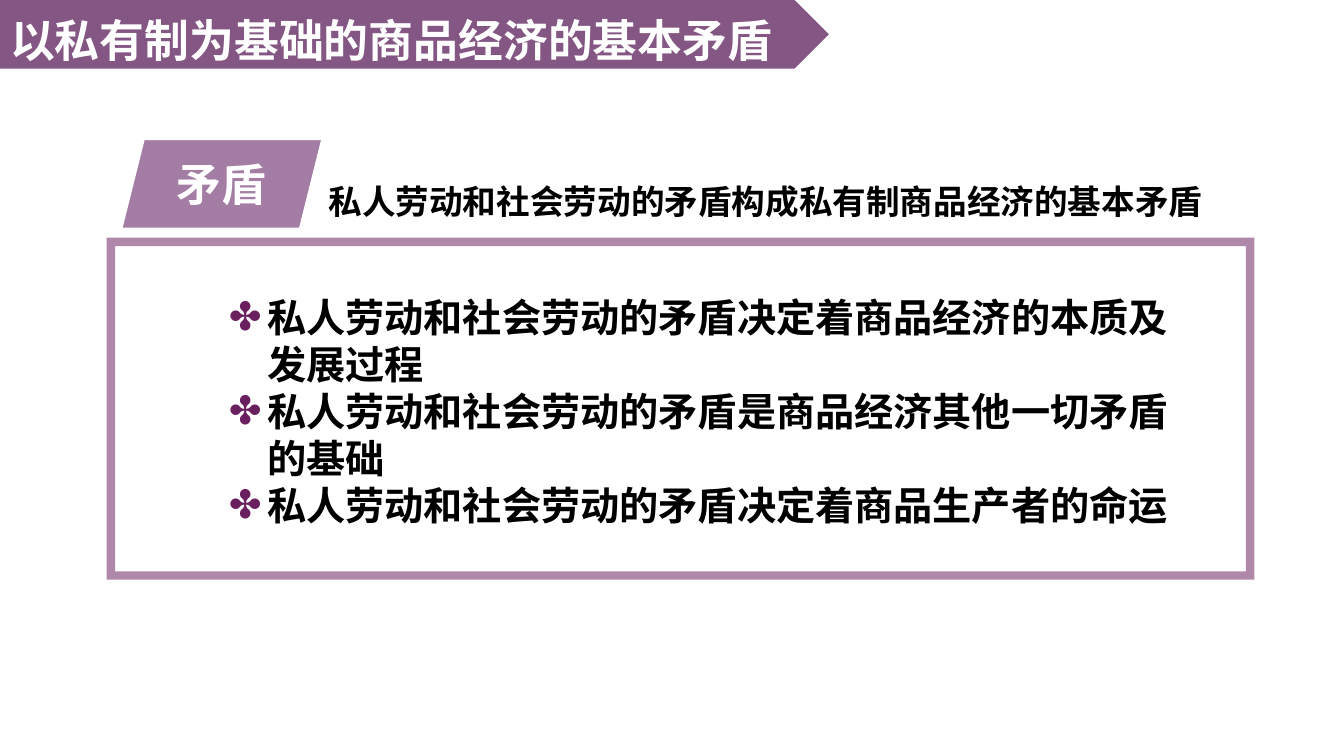
from pptx import Presentation
from pptx.dml.color import RGBColor
from pptx.enum.shapes import MSO_SHAPE
from pptx.enum.text import MSO_ANCHOR, MSO_AUTO_SIZE, PP_ALIGN
from pptx.oxml.ns import qn
from pptx.util import Inches, Pt
from lxml.etree import SubElement

COLORS = {"banner": "5A1B58", "tag": "7E487F", "accent": "6A1F5F",
          "white": "FFFFFF", "black": "000000"}
FONT = "Noto Sans CJK SC"
LINE_HEIGHT = 1.2  # line pitch as a share of the text size


def paint(fill, color, opacity=100):
    fill.solid()
    fill.fore_color.rgb = RGBColor.from_string(COLORS[color])
    if opacity < 100:
        solid = fill._xPr.find(qn("a:solidFill"))
        SubElement(solid[0], qn("a:alpha"), val=str(opacity * 1000))


def write(para, text, size, color, align=PP_ALIGN.LEFT, exact=True):
    para.alignment = align
    para.space_before = Pt(0)
    if exact:
        para.line_spacing = Pt(size * LINE_HEIGHT)
    span = para.add_run()
    span.text = text
    span.font.size = Pt(size)
    span.font.bold = True
    span.font.color.rgb = RGBColor.from_string(COLORS[color])
    span.font.name = FONT
    SubElement(span._r.get_or_add_rPr(), qn("a:ea"), typeface=FONT)


deck = Presentation()
deck.slide_width, deck.slide_height = Inches(13.33), Inches(7.5)
page = deck.slides.add_slide(deck.slide_layouts[1])
title, body = page.placeholders

# Banner, tag and frame
shapes = {}
for name, kind, area in [
    ("banner", MSO_SHAPE.PENTAGON, (0, 0, 8.22, 0.68)),
    ("tag", MSO_SHAPE.PARALLELOGRAM, (1.19, 1.37, 2.02, 0.91)),
    ("frame", MSO_SHAPE.RECTANGLE, (1.1, 2.4, 11.3, 3.31)),
]:
    shapes[name] = page.shapes.add_shape(kind, *map(Inches, area))
    shapes[name].shadow.inherit = False

banner, tag, frame = shapes.values()
paint(banner.fill, "banner", 74)
banner.line.fill.background()
paint(tag.fill, "tag", 71)
paint(tag.line.fill, "white")
tag.line.width = Pt(3)
frame.fill.background()
paint(frame.line.fill, "accent", 53)
frame.line.width = Pt(6)
SubElement(frame.line._get_or_add_ln(), qn("a:miter"), lim="800000")

tag.text_frame.vertical_anchor = MSO_ANCHOR.MIDDLE
write(tag.text_frame.paragraphs[0], "矛盾", 32, "white", PP_ALIGN.CENTER, exact=False)

# Text areas, with the title above its banner
page.shapes._spTree.append(title._element)
subtitle = page.shapes.add_textbox(0, 0, 0, 0)
for box, area in [(title, (0, 0.08, 8.22, 0.6)),
                  (subtitle, (3.16, 1.75, 9.18, 0.5)),
                  (body, (2.17, 2.86, 9.67, 2.43))]:
    box.left, box.top, box.width, box.height = map(Inches, area)
    box.text_frame.word_wrap = True
    box.text_frame.auto_size = MSO_AUTO_SIZE.NONE
    box.text_frame.vertical_anchor = MSO_ANCHOR.TOP

write(title.text_frame.paragraphs[0], "以私有制为基础的商品经济的基本矛盾", 32, "white")
write(subtitle.text_frame.paragraphs[0],
      "私人劳动和社会劳动的矛盾构成私有制商品经济的基本矛盾", 24, "black")

# Bulleted list
points = ["决定着商品经济的本质及发展过程", "是商品经济其他一切矛盾的基础", "决定着商品生产者的命运"]
for index, point in enumerate(points):
    para = body.text_frame.paragraphs[0] if index == 0 else body.text_frame.add_paragraph()
    props = para._p.get_or_add_pPr()
    props.set("marL", str(Inches(0.38)))
    props.set("indent", str(-Inches(0.38)))
    bullet_color = SubElement(props, qn("a:buClr"))
    SubElement(bullet_color, qn("a:srgbClr"), val=COLORS["accent"])
    SubElement(props, qn("a:buChar"), char="✤")
    write(para, "私人劳动和社会劳动的矛盾" + point, 28, "black")

deck.save("out.pptx")
